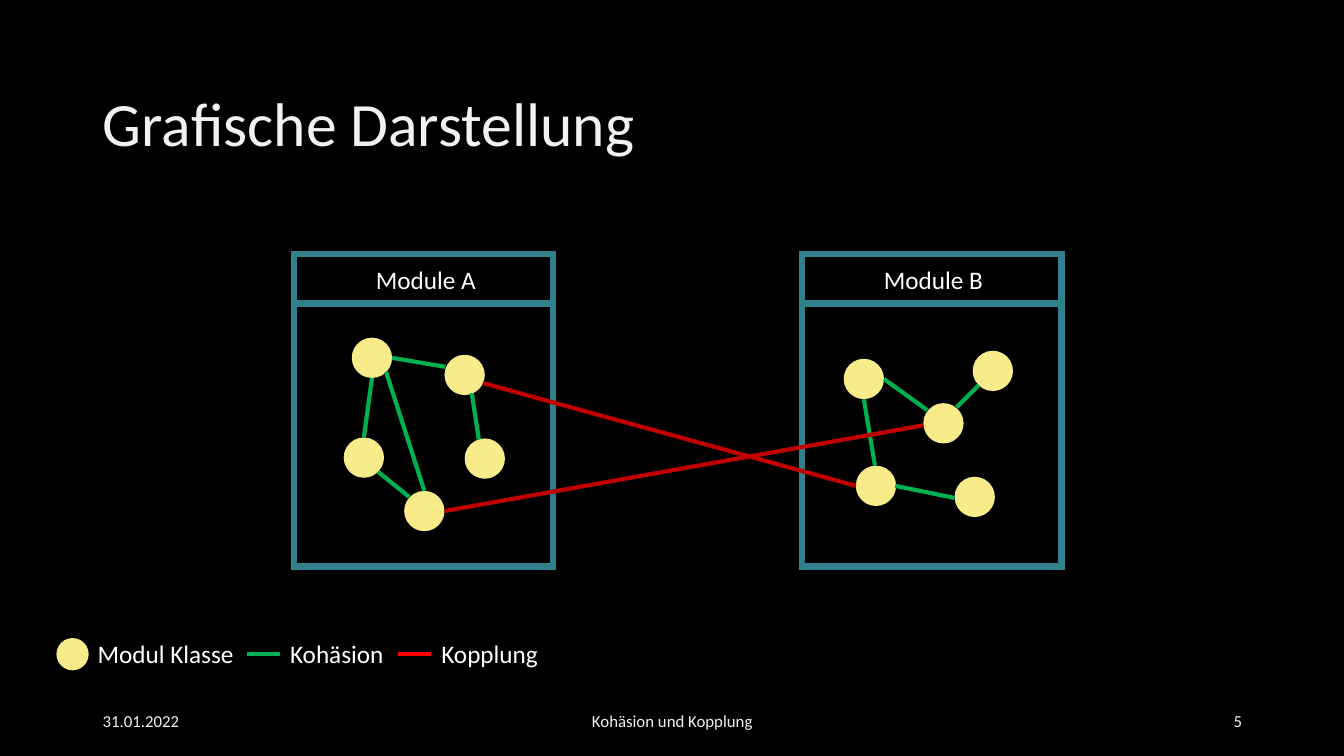
"""Builds the slide that shows cohesion and coupling between two modules."""
from lxml.etree import SubElement
from pptx import Presentation
from pptx.dml.color import RGBColor
from pptx.enum.shapes import MSO_CONNECTOR as Link, MSO_SHAPE as Preset
from pptx.enum.text import MSO_ANCHOR as Anchor, PP_ALIGN as Align
from pptx.oxml.ns import qn
from pptx.util import Inches, Pt

COLORS = {
    "background": "000000", "title": "F2F2F2", "text": "FFFFFF", "frame": "30818C",
    "class": "F8EB89", "cohesion": "00B050", "coupling": "C00000", "key": "FF0000",
}
CELL = 0.1
COLUMNS, ROWS = 133.33, 75
NODE = 4
HEADER = 4.9

MODULES = [
    ("Module A", (29.2, 25.2, 25.7, 31),
     [(5.7, 8.3), (16.9, 18.3), (4.9, 18.2), (14.9, 10), (10.9, 23.5)],
     [(6.9, 18.2, 7.7, 12.3), (9.7, 10.3, 15, 11.2), (17.6, 13.8, 18.3, 18.4),
      (9.1, 11.7, 12.9, 23.5), (8.3, 21.6, 11.4, 24.1)]),
    ("Module B", (79.6, 25.2, 25.7, 31),
     [(4.1, 10.4), (16.9, 9.6), (5.3, 21), (12, 14.8), (15.1, 22.1)],
     [(7.2, 21, 6.1, 14.4), (8.1, 12.4, 12.4, 15.5),
      (15.3, 15.2, 17.5, 13), (9.2, 23, 15.1, 24.2)]),
]
COUPLINGS = [(55.7, 23, 18.7, 12.8), (62.4, 17, 14.9, 25.5)]


def cells(*counts):
    """Turn grid cells into lengths."""
    return [Inches(count * CELL) for count in counts]


def color(name):
    """Look up a colour by its role."""
    return RGBColor.from_string(COLORS[name])


def write(frame, text, size=18, ink="text", align=Align.LEFT, anchor=Anchor.TOP,
          wrap=False, spacing=1.0):
    """Fill a text frame with one formatted paragraph."""
    frame.word_wrap = wrap
    frame.vertical_anchor = anchor
    paragraph = frame.paragraphs[0]
    paragraph.alignment = align
    paragraph.line_spacing = spacing
    run = paragraph.add_run()
    run.text = text
    run.font.name, run.font.size = "Calibri", Pt(size)
    run.font.color.rgb = color(ink)


def label(slide, box, text, **style):
    """Place a text box."""
    write(slide.shapes.add_textbox(*cells(*box)).text_frame, text, **style)


def node(slide, left, top, size=NODE):
    """Draw the circle that stands for a class."""
    circle = slide.shapes.add_shape(Preset.OVAL, *cells(left, top, size, size))
    circle.shadow.inherit = False
    circle.fill.solid()
    circle.fill.fore_color.rgb = color("class")
    circle.line.fill.background()


def frame(slide, box):
    """Draw an unfilled module frame with square corners."""
    border = slide.shapes.add_shape(Preset.RECTANGLE, *cells(*box))
    border.shadow.inherit = False
    border.fill.background()
    border.line.color.rgb = color("frame")
    border.line.width = Pt(4.5)
    SubElement(border.line._get_or_add_ln(), qn("a:miter"), lim="800000")


def relation(slide, origin, ends, ink):
    """Draw a relation line whose ends are relative to the origin."""
    x, y = origin
    x1, y1, x2, y2 = ends
    line = slide.shapes.add_connector(Link.STRAIGHT, *cells(x + x1, y + y1, x + x2, y + y2))
    line.line.color.rgb = color(ink)
    line.line.width = Pt(3)
    SubElement(line._element.spPr, qn("a:effectLst"))


def heading(slide, box, text):
    """Format the title placeholder."""
    title = slide.shapes.title
    title.left, title.top, title.width, title.height = cells(*box)
    write(title.text_frame, text, size=44, ink="title", anchor=Anchor.BOTTOM,
          wrap=True, spacing=0.9)


def module(slide, box, name, classes, cohesions):
    """Draw a module with its header, classes and cohesion lines."""
    x, y, width, height = box
    for left, top in classes:
        node(slide, x + left, y + top)
    for ends in cohesions:
        relation(slide, (x, y), ends, "cohesion")
    frame(slide, (x, y + HEADER, width, height - HEADER))
    frame(slide, (x, y, width, HEADER))
    label(slide, (x + 7.1, y + 0.5, 11.9, 4), name)


def legend(slide, box):
    """Explain the circle and the two line colours."""
    x, y, _, height = box
    node(slide, x, y + 0.5, 3.2)
    for left, width, text in [(3.1, 15.8, "Modul Klasse"), (22.2, 11.7, "Kohäsion"),
                              (37.2, 12.1, "Kopplung")]:
        label(slide, (x + left, y, width, height), text)
    for left, ink in [(18.9, "cohesion"), (33.9, "key")]:
        relation(slide, (x, y), (left, 2.1, left + 3.3, 2.1), ink)


def footer(slide, box):
    """Place date, topic and page number along the bottom."""
    x, y, width, height = box
    for left, share, text, align in [(0, 30, "31.01.2022", Align.LEFT),
                                     ((width - 45) / 2, 45, "Kohäsion und Kopplung", Align.CENTER),
                                     (width - 30, 30, "5", Align.RIGHT)]:
        label(slide, (x + left, y, share, height), text, size=12, ink="title",
              align=align, anchor=Anchor.MIDDLE, wrap=True)


def diagram_slide(deck):
    """Compose the slide from its regions."""
    slide = deck.slides.add_slide(deck.slide_layouts[5])
    slide.background.fill.solid()
    slide.background.fill.fore_color.rgb = color("background")
    heading(slide, (9.2, 4, 87, 12.4), "Grafische Darstellung")
    for name, box, classes, cohesions in MODULES:
        module(slide, box, name, classes, cohesions)
    for ends in COUPLINGS:
        relation(slide, MODULES[0][1][:2], ends, "coupling")
    legend(slide, (5.6, 62.8, 49.3, 4))
    footer(slide, (9.2, 69.5, 115, 4))


deck = Presentation()
deck.slide_width, deck.slide_height = cells(COLUMNS, ROWS)
diagram_slide(deck)
deck.save("out.pptx")
